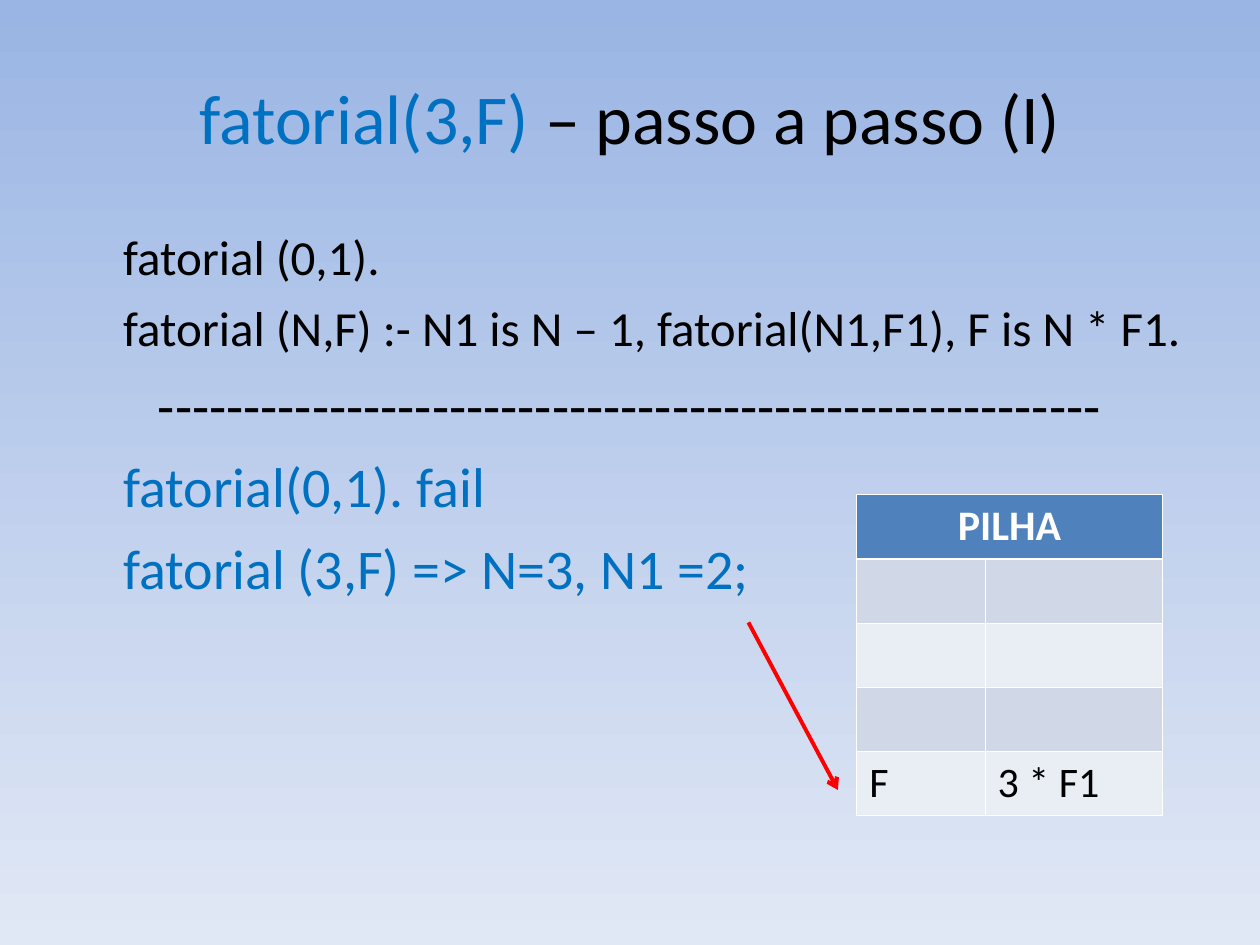
from dataclasses import dataclass

from lxml import etree
from pptx import Presentation
from pptx.dml.color import RGBColor
from pptx.enum.shapes import MSO_CONNECTOR
from pptx.enum.text import MSO_ANCHOR, PP_ALIGN
from pptx.oxml.ns import qn
from pptx.util import Inches, Pt

CENTER, LEFT = PP_ALIGN.CENTER, PP_ALIGN.LEFT
MIDDLE, TOP = MSO_ANCHOR.MIDDLE, MSO_ANCHOR.TOP
STRAIGHT = MSO_CONNECTOR.STRAIGHT
UNIT = Inches(0.1)
GRID_COLUMNS, GRID_ROWS = 100, 75


@dataclass(frozen=True)
class Theme:
    """Colours and type sizes of the slide."""

    font: str = "Calibri"
    sky_top: str = "9AB5E4"
    sky_bottom: str = "E1E8F5"
    text: str = "000000"
    accent: str = "0070C0"
    white: str = "FFFFFF"
    header: str = "4F81BD"
    bands: tuple = ("D0D8E8", "E9EDF4")
    arrow: str = "FF0000"
    title_size: int = 40
    rule_size: int = 28
    step_size: int = 32
    table_size: int = 24
    thin_border: float = 0.45
    thick_border: float = 1.47
    arrow_width: float = 2.25


@dataclass(frozen=True)
class Box:
    """A rectangle in columns and rows of the slide grid."""

    column: float
    row: float
    width: float
    height: float

    def lengths(self):
        """Return left, top, width and height as slide lengths."""
        return [grid(n) for n in (self.column, self.row, self.width, self.height)]


THEME = Theme()


def grid(count):
    """Return the length of a number of grid steps."""
    return round(UNIT * count)


def style_run(run, size, color, bold=False):
    """Format one run in the theme font."""
    run.font.name = THEME.font
    run.font.size = Pt(size)
    run.font.bold = bold
    run.font.color.rgb = RGBColor.from_string(color)


def add_text_frame(slide, box, anchor):
    """Add a wrapping text box and return its text frame."""
    text_frame = slide.shapes.add_textbox(*box.lengths()).text_frame
    text_frame.word_wrap = True
    text_frame.vertical_anchor = anchor
    return text_frame


def paint_background(slide):
    """Fill the slide with a gradient running downwards."""
    fill = slide.background.fill
    fill.gradient()
    fill.gradient_angle = 270
    for stop, color in zip(fill.gradient_stops, (THEME.sky_top, THEME.sky_bottom)):
        stop.color.rgb = RGBColor.from_string(color)


def add_title(slide, box):
    """Place the two-coloured centred title."""
    paragraph = add_text_frame(slide, box, MIDDLE).paragraphs[0]
    paragraph.alignment = CENTER
    parts = (("fatorial(3,F) ", THEME.accent), ("– passo a passo (I)", THEME.text))
    for text, color in parts:
        run = paragraph.add_run()
        run.text = text
        style_run(run, THEME.title_size, color)


def add_program(slide, box):
    """Place the clauses, the dashed divider and the evaluation steps."""
    rule, step = THEME.rule_size, THEME.step_size
    lines = (
        ("fatorial (0,1).", rule, THEME.text, LEFT, 0),
        ("fatorial (N,F) :- N1 is N – 1, fatorial(N1,F1), F is N * F1.",
         rule, THEME.text, LEFT, 7),
        ("-" * 55, step, THEME.text, CENTER, 8),
        ("fatorial(0,1). fail", step, THEME.accent, LEFT, 8),
        ("fatorial (3,F) => N=3, N1 =2;", step, THEME.accent, LEFT, 8),
    )
    text_frame = add_text_frame(slide, box, TOP)
    text_frame.text = "\n".join(line[0] for line in lines)
    for paragraph, (_, size, color, alignment, space) in zip(text_frame.paragraphs, lines):
        paragraph.alignment = alignment
        paragraph.space_before = Pt(space)
        if alignment == LEFT:
            paragraph._p.get_or_add_pPr().set("marL", str(grid(3.8)))
        style_run(paragraph.runs[0], size, color)


def set_borders(cell, top, bottom):
    """Draw white borders with the given top and bottom widths."""
    properties = cell._tc.get_or_add_tcPr()
    thin = THEME.thin_border
    sides = (("lnL", thin), ("lnR", thin), ("lnT", top), ("lnB", bottom))
    for position, (side, width) in enumerate(sides):
        line = etree.Element(qn(f"a:{side}"), w=str(Pt(width)))
        fill = etree.SubElement(line, qn("a:solidFill"))
        etree.SubElement(fill, qn("a:srgbClr"), val=THEME.white)
        properties.insert(position, line)


def add_stack(slide, box, column_shares):
    """Place the stack table with its merged header and banded rows."""
    rows = (("PILHA", ""), ("", ""), ("", ""), ("", ""), ("F", "3 * F1"))
    table = slide.shapes.add_table(len(rows), 2, *box.lengths()).table
    for column, share in zip(table.columns, column_shares):
        column.width = grid(box.width * share)
    table.cell(0, 0).merge(table.cell(0, 1))
    thin, thick = THEME.thin_border, THEME.thick_border
    for row, texts in enumerate(rows):
        table.rows[row].height = grid(box.height / len(rows))
        is_header = row == 0
        for column, text in enumerate(texts):
            cell = table.cell(row, column)
            cell.fill.solid()
            color = THEME.header if is_header else THEME.bands[(row - 1) % 2]
            cell.fill.fore_color.rgb = RGBColor.from_string(color)
            set_borders(cell, thick if row == 1 else thin, thick if is_header else thin)
            if text:
                cell.text_frame.text = text
                paragraph = cell.text_frame.paragraphs[0]
                paragraph.alignment = CENTER if is_header else LEFT
                style_run(paragraph.runs[0], THEME.table_size,
                          THEME.white if is_header else THEME.text, is_header)


def add_arrow(slide, box):
    """Draw the arrow from the top left to the bottom right of its box."""
    left, top, width, height = box.lengths()
    connector = slide.shapes.add_connector(STRAIGHT, left, top, left + width, top + height)
    connector.line.color.rgb = RGBColor.from_string(THEME.arrow)
    connector.line.width = Pt(THEME.arrow_width)
    etree.SubElement(connector.line._get_or_add_ln(), qn("a:tailEnd"), type="arrow")
    etree.SubElement(connector._element.spPr, qn("a:effectLst"))


def main():
    """Build and save the slide."""
    presentation = Presentation()
    presentation.slide_width = grid(GRID_COLUMNS)
    presentation.slide_height = grid(GRID_ROWS)
    slide = presentation.slides.add_slide(presentation.slide_layouts[6])
    paint_background(slide)
    add_title(slide, Box(5, 3, 90, 12.5))
    add_program(slide, Box(5, 17.5, 90, 49.5))
    add_stack(slide, Box(68, 39.25, 24.25, 25.5), (0.42, 0.58))
    add_arrow(slide, Box(59.4, 49.4, 7.1, 13.3))
    presentation.save("out.pptx")


if __name__ == "__main__":
    main()
